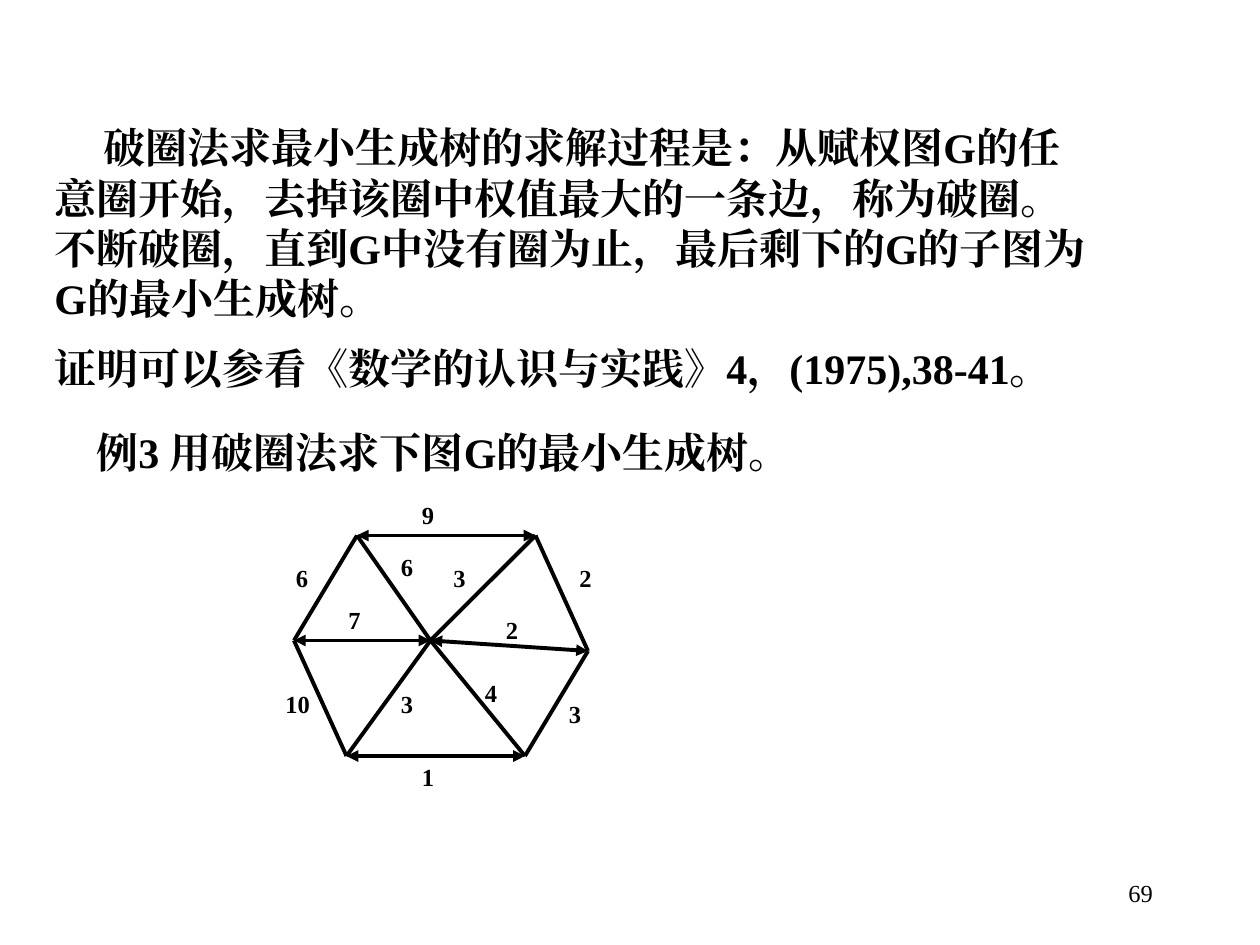
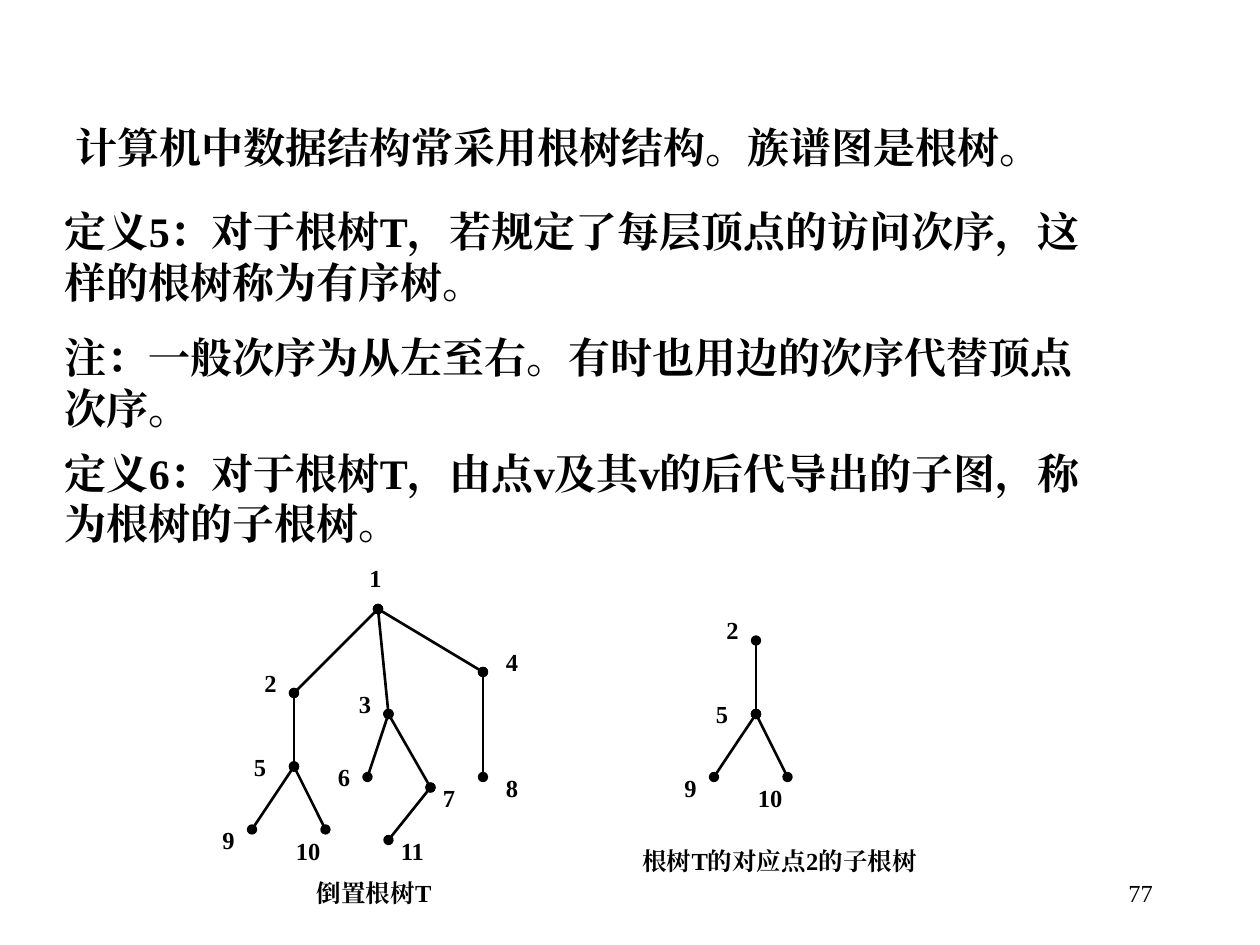
from typing import NamedTuple, Optional

from lxml import etree
from pptx import Presentation
from pptx.dml.color import RGBColor
from pptx.enum.shapes import MSO_CONNECTOR
from pptx.enum.text import MSO_ANCHOR, MSO_AUTO_SIZE, PP_ALIGN
from pptx.oxml import parse_xml
from pptx.oxml.ns import nsdecls, qn
from pptx.util import Pt

STRAIGHT = MSO_CONNECTOR.STRAIGHT
TOP, MIDDLE = MSO_ANCHOR.TOP, MSO_ANCHOR.MIDDLE
LEFT, RIGHT = PP_ALIGN.LEFT, PP_ALIGN.RIGHT
FIT_SHAPE, FIXED = MSO_AUTO_SIZE.SHAPE_TO_FIT_TEXT, MSO_AUTO_SIZE.NONE

COLORS = {"ink": "000000", "paper": "FFFFFF"}
FONT = "Times New Roman"
TEXT_SIZE, LABEL_SIZE = 24, 14
ONE_LINE, TWO_LINES, FOUR_LINES = 36, 64.8, 122.4
LABEL_HEIGHT = 24.5
TEXT_WIDTH = 606


class Box(NamedTuple):
    left: float
    top: float
    width: float
    height: float


class Passage(NamedTuple):
    text: str
    box: Box
    indent: float = 0
    anchor: MSO_ANCHOR = TOP


class Point(NamedTuple):
    x: float
    y: float


class Edge(NamedTuple):
    start: str
    end: str
    weight: str
    label: Point
    ends: Optional[str] = None


class TreeNode(NamedTuple):
    name: str
    point: Point
    label: Point
    parent: Optional[str] = None
    label_width: float = 24


PAGE_NUMBER_BOX = Box(516, 492, 150, 36)

CYCLE_BREAKING = [
    Passage("破圈法求最小生成树的求解过程是：从赋权图G的任意圈开始，去掉该圈中权值最大的一条边，"
            "称为破圈。不断破圈，直到G中没有圈为止，最后剩下的G的子图为G的最小生成树。",
            Box(24, 66, TEXT_WIDTH, FOUR_LINES), indent=28),
    Passage("证明可以参看《数学的认识与实践》4，(1975),38-41。",
            Box(12, 192, TEXT_WIDTH, ONE_LINE), indent=12, anchor=MIDDLE),
    Passage("例3 用破圈法求下图G的最小生成树。", Box(42, 240, 594, ONE_LINE), indent=6),
]

ROOTED_TREES = [
    Passage("计算机中数据结构常采用根树结构。族谱图是根树。", Box(36, 66, TEXT_WIDTH, ONE_LINE)),
    Passage("定义5：对于根树T，若规定了每层顶点的访问次序，这样的根树称为有序树。",
            Box(30, 114, TEXT_WIDTH, TWO_LINES)),
    Passage("注：一般次序为从左至右。有时也用边的次序代替顶点次序。",
            Box(30, 186, TEXT_WIDTH, TWO_LINES)),
    Passage("定义6：对于根树T，由点v及其v的后代导出的子图，称为根树的子根树。",
            Box(30, 252, TEXT_WIDTH, TWO_LINES)),
]

GRAPH_POINTS = {
    "top left": Point(204, 306),
    "top right": Point(306, 306),
    "right": Point(336, 372),
    "bottom right": Point(300, 432),
    "bottom left": Point(198, 432),
    "left": Point(168, 366),
    "center": Point(246, 366),
}
GRAPH_EDGES = [
    Edge("top left", "top right", "9", Point(234, 282), "triangle"),
    Edge("top left", "left", "6", Point(162, 318)),
    Edge("top right", "right", "2", Point(324, 318)),
    Edge("left", "bottom left", "10", Point(156, 390)),
    Edge("bottom left", "bottom right", "1", Point(234, 432), "triangle"),
    Edge("right", "bottom right", "3", Point(318, 396)),
    Edge("top left", "center", "6", Point(222, 312)),
    Edge("left", "center", "7", Point(192, 342), "triangle"),
    Edge("center", "bottom left", "3", Point(222, 390)),
    Edge("center", "bottom right", "4", Point(270, 384)),
    Edge("center", "right", "2", Point(282, 348), "triangle"),
    Edge("top right", "center", "3", Point(252, 318)),
]

TREE = [
    TreeNode("1", Point(216, 348), Point(204, 318)),
    TreeNode("2", Point(168, 396), Point(144, 378), "1"),
    TreeNode("3", Point(222, 408), Point(198, 390), "1"),
    TreeNode("4", Point(276, 384), Point(282, 366), "1"),
    TreeNode("5", Point(168, 438), Point(138, 426), "2"),
    TreeNode("6", Point(210, 444), Point(186, 432), "3"),
    TreeNode("7", Point(246, 450), Point(246, 444), "3"),
    TreeNode("8", Point(276, 444), Point(282, 438), "4"),
    TreeNode("9", Point(144, 474), Point(120, 468), "5"),
    TreeNode("10", Point(186, 474), Point(162, 474), "5", 36),
    TreeNode("11", Point(222, 480), Point(222, 474), "7", 30),
]
SUBTREE = [
    TreeNode("2", Point(432, 366), Point(408, 348)),
    TreeNode("5", Point(432, 408), Point(402, 396), "2"),
    TreeNode("9", Point(408, 444), Point(384, 438), "5"),
    TreeNode("10", Point(450, 444), Point(426, 444), "5", 36),
]


def add_text(shapes, text: str, box: Box, *, size: float = LABEL_SIZE, bold: bool = True,
             align: PP_ALIGN = LEFT, anchor: MSO_ANCHOR = TOP, indent: float = 0,
             fit: MSO_AUTO_SIZE = FIT_SHAPE) -> None:
    frame = shapes.add_textbox(*map(Pt, box)).text_frame
    frame.word_wrap = True
    frame.auto_size = fit
    frame.vertical_anchor = anchor
    paragraph = frame.paragraphs[0]
    paragraph.alignment = align
    if indent:
        paragraph._p.get_or_add_pPr().set("indent", str(Pt(indent)))
    run = paragraph.add_run()
    run.text = text
    run.font.name = FONT
    run.font.size = Pt(size)
    run.font.bold = bold
    run.font.color.rgb = RGBColor.from_string(COLORS["ink"])
    latin = run._r.rPr.find(qn("a:latin"))
    latin.addnext(parse_xml(f'<a:ea {nsdecls("a")} typeface="{FONT}"/>'))


def add_line(shapes, start: Point, end: Point, *, width: float,
             ends: Optional[str] = None) -> None:
    """Draw a line whose two ends carry the same marker."""
    connector = shapes.add_connector(STRAIGHT, *map(Pt, start + end))
    connector.line.color.rgb = RGBColor.from_string(COLORS["ink"])
    connector.line.width = Pt(width)
    if ends:
        line = connector.line._get_or_add_ln()
        for tag in ("a:headEnd", "a:tailEnd"):
            etree.SubElement(line, qn(tag), type=ends)
    etree.SubElement(connector._element.spPr, qn("a:effectLst"))


def add_graph(slide) -> None:
    shapes = slide.shapes.add_group_shape().shapes
    for edge in GRAPH_EDGES:
        add_line(shapes, GRAPH_POINTS[edge.start], GRAPH_POINTS[edge.end],
                 width=2.25, ends=edge.ends)
    for edge in GRAPH_EDGES:
        add_text(shapes, edge.weight, Box(*edge.label, 31, LABEL_HEIGHT))


def add_tree(slide, nodes: list[TreeNode], caption: str, caption_box: Box) -> None:
    shapes = slide.shapes.add_group_shape().shapes
    points = {node.name: node.point for node in nodes}
    for node in nodes:
        if node.parent:
            add_line(shapes, points[node.parent], node.point, width=1.5, ends="oval")
    for node in nodes:
        add_text(shapes, node.name, Box(*node.label, node.label_width, LABEL_HEIGHT))
    add_text(shapes, caption, caption_box)


def add_page(presentation, page_number: str, passages: list[Passage]):
    slide = presentation.slides.add_slide(presentation.slide_layouts.get_by_name("Blank"))
    slide.background.fill.solid()
    slide.background.fill.fore_color.rgb = RGBColor.from_string(COLORS["paper"])
    add_text(slide.shapes, page_number, PAGE_NUMBER_BOX, bold=False, align=RIGHT,
             anchor=MIDDLE, fit=FIXED)
    for passage in passages:
        add_text(slide.shapes, passage.text, passage.box, size=TEXT_SIZE,
                 indent=passage.indent, anchor=passage.anchor)
    return slide


def main() -> None:
    presentation = Presentation()
    presentation.slide_width, presentation.slide_height = Pt(720), Pt(540)

    add_graph(add_page(presentation, "69", CYCLE_BREAKING))

    tree_slide = add_page(presentation, "77", ROOTED_TREES)
    add_tree(tree_slide, TREE, "倒置根树T", Box(174, 498, 97, LABEL_HEIGHT))
    add_tree(tree_slide, SUBTREE, "根树T的对应点2的子根树", Box(360, 480, 198, LABEL_HEIGHT))

    presentation.save("out.pptx")


if __name__ == "__main__":
    main()
